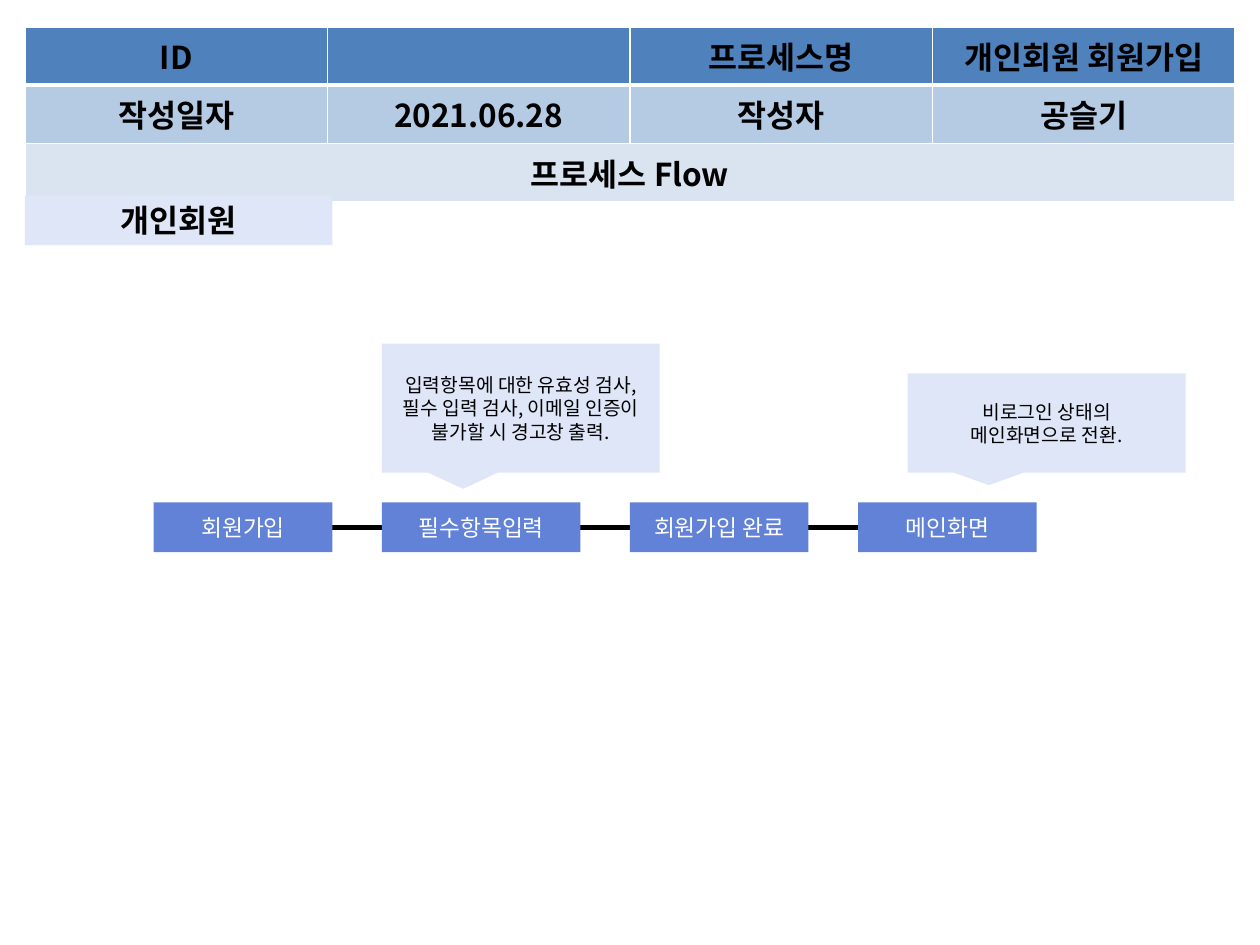
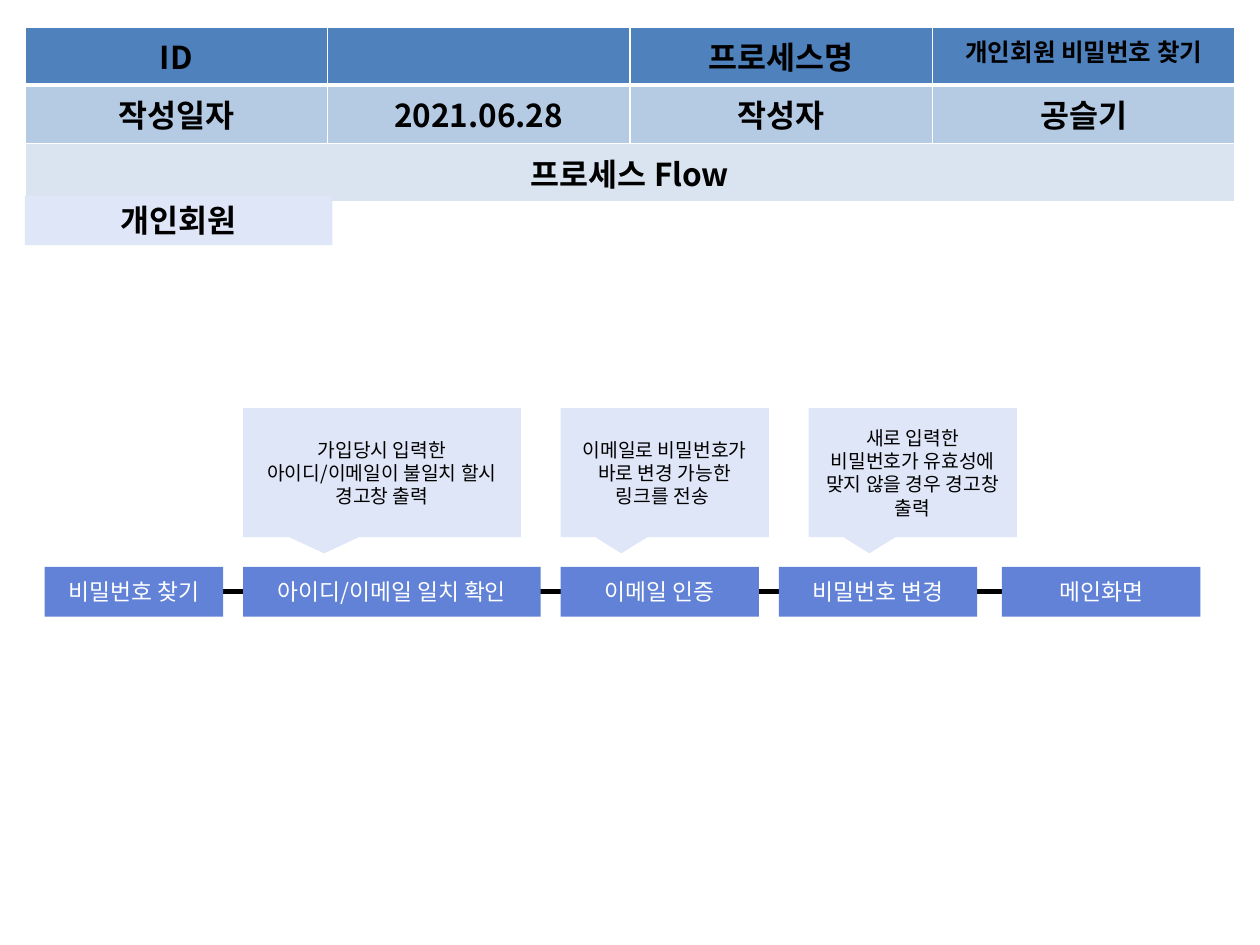
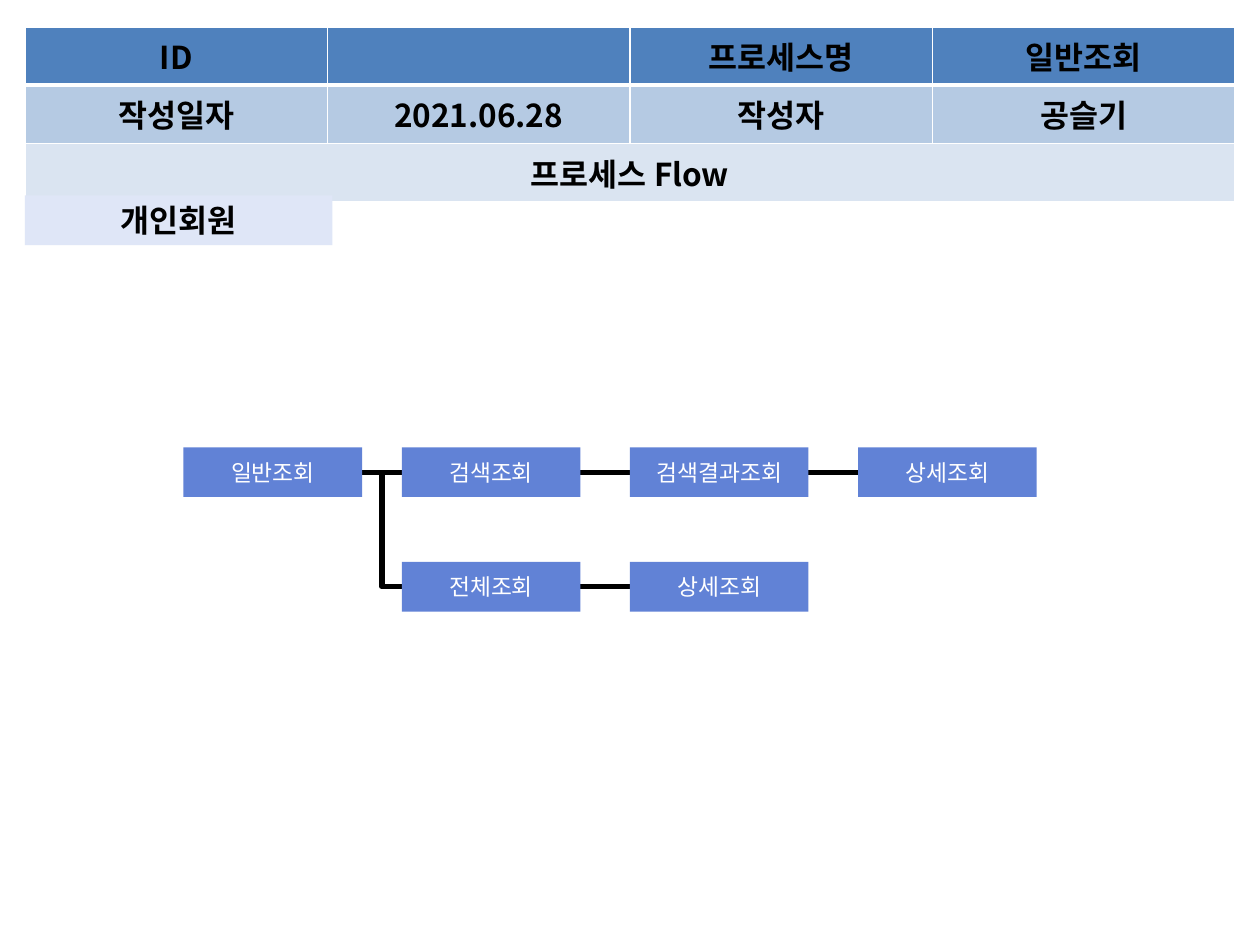
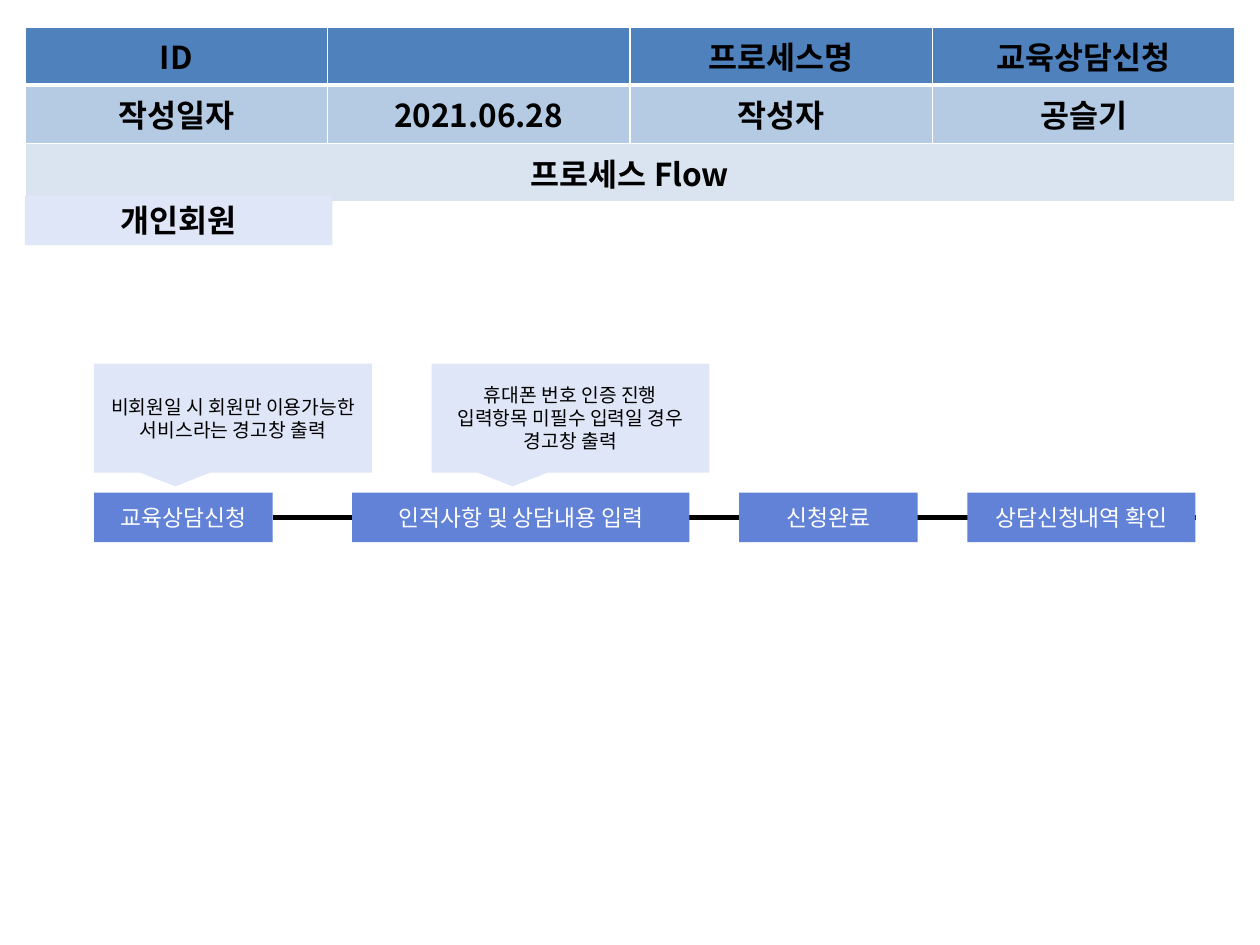
from lxml import etree
from pptx import Presentation
from pptx.dml.color import RGBColor
from pptx.enum.shapes import MSO_CONNECTOR, MSO_SHAPE
from pptx.enum.text import MSO_ANCHOR, MSO_AUTO_SIZE, PP_ALIGN
from pptx.oxml.ns import qn
from pptx.util import Cm, Pt

RECT = MSO_SHAPE.RECTANGLE
CALLOUT = MSO_SHAPE.RECTANGULAR_CALLOUT
STRAIGHT = MSO_CONNECTOR.STRAIGHT
ELBOW = MSO_CONNECTOR.ELBOW
CENTER = PP_ALIGN.CENTER
MIDDLE = MSO_ANCHOR.MIDDLE
NO_FIT = MSO_AUTO_SIZE.NONE

FONT = "Noto Sans CJK KR"
COLORS = {
    "black": "000000",
    "white": "FFFFFF",
    "head": "4F81BD",
    "meta": "B5CAE3",
    "flow": "DAE4F1",
    "pale": "DFE6F7",
    "step": "6182D6",
}
LEFT = 0.5
COL_WIDTHS = (2.6, 3.5, 6.1, 6.1, 6.1)
ROW_HEIGHT = 1.03
STEP_HEIGHT = 1.0
STEP_WIDTH = 3.6


def rgb(name):
    return RGBColor.from_string(COLORS[name])


def write(tf, text, size=18, color="black", bold=False):
    for i, line in enumerate(text.split("\n")):
        p = tf.paragraphs[0] if i == 0 else tf.add_paragraph()
        p.alignment = CENTER
        r = p.add_run()
        r.text = line
        r.font.name = FONT
        r.font.size = Pt(size)
        r.font.bold = bold
        r.font.color.rgb = rgb(color)
        ea = etree.SubElement(r.font._element, qn("a:ea"))
        ea.set("typeface", FONT)


def paint(sp, color):
    sp.fill.solid()
    sp.fill.fore_color.rgb = rgb(color)
    sp.line.fill.background()


def add_box(slide, kind, text, x, y, w, h, fill, **fmt):
    sp = slide.shapes.add_shape(kind, Cm(x), Cm(y), Cm(w), Cm(h))
    sp.shadow.inherit = False
    paint(sp, fill)
    tf = sp.text_frame
    tf.word_wrap = True
    tf.vertical_anchor = MIDDLE
    write(tf, text, **fmt)
    return sp


def add_step(slide, text, x, y, w=STEP_WIDTH):
    add_box(slide, RECT, text, x, y, w, STEP_HEIGHT, "step", size=13, color="white")


def add_callout(slide, text, x, bottom, w, h):
    sp = add_box(slide, CALLOUT, text, x, bottom - h, w, h, "pale", size=11)
    sp.adjustments[0] = -0.208
    sp.adjustments[1] = 0.625


def add_link(slide, x1, y1, x2, y2, kind=STRAIGHT):
    cxn = slide.shapes.add_connector(kind, Cm(x1), Cm(y1), Cm(x2), Cm(y2))
    cxn.line.color.rgb = rgb("black")
    cxn.line.width = Pt(3)
    etree.SubElement(cxn._element.spPr, qn("a:effectLst"))


def add_steps(slide, x, y, steps, gaps):
    for (text, w), gap in zip(steps, gaps + [0]):
        add_step(slide, text, x, y, w)
        x += w + gap


def set_borders(cell, **widths):
    tc_pr = cell._tc.get_or_add_tcPr()
    for side in "LRTB":
        ln = etree.SubElement(tc_pr, qn("a:ln" + side), w=str(Pt(widths.get(side, 1))))
        fill = etree.SubElement(ln, qn("a:solidFill"))
        etree.SubElement(fill, qn("a:srgbClr"), val=COLORS["white"])


def add_header(slide, name, name_size):
    rows = (
        ("head", ("ID", None, "", "프로세스명", name), {"B": 3}),
        ("meta", ("작성일자", None, "2021.06.28", "작성자", "공슬기"), {"T": 3}),
        ("flow", ("프로세스 Flow", None, None, None, None), {}),
    )
    frame = slide.shapes.add_table(
        len(rows), len(COL_WIDTHS), Cm(LEFT), Cm(0.54),
        Cm(sum(COL_WIDTHS)), Cm(ROW_HEIGHT * len(rows)))
    table = frame.table
    table.first_row = False
    table.horz_banding = False
    for col, w in zip(table.columns, COL_WIDTHS):
        col.width = Cm(w)
    for i, (fill, texts, borders) in enumerate(rows):
        table.rows[i].height = Cm(ROW_HEIGHT)
        for j, text in enumerate(texts):
            cell = table.cell(i, j)
            set_borders(cell, **borders)
            cell.fill.solid()
            cell.fill.fore_color.rgb = rgb(fill)
            if text:
                size = name_size if text == name else 18
                write(cell.text_frame, text, size=size, bold=True)
        table.cell(i, 0).merge(table.cell(i, texts.count(None)))


def add_member_title(slide):
    sp = slide.shapes.title
    sp.left, sp.top, sp.width, sp.height = Cm(LEFT), Cm(3.94), Cm(6.2), Cm(1)
    paint(sp, "pale")
    tf = sp.text_frame
    tf.auto_size = NO_FIT
    tf.vertical_anchor = MIDDLE
    write(tf, "개인회원", bold=True)
    sp.element.getparent().append(sp.element)


def new_slide(prs, name, links, name_size=18):
    slide = prs.slides.add_slide(prs.slide_layouts[5])
    for link in links:
        add_link(slide, *link)
    add_header(slide, name, name_size)
    add_member_title(slide)
    return slide


def sign_up(prs):
    y = 10.13
    mid = y + STEP_HEIGHT / 2
    slide = new_slide(prs, "개인회원 회원가입", [(3.1, mid, 20.8, mid)])
    steps = [("회원가입", 3.6), ("필수항목입력", 4), ("회원가입 완료", 3.6), ("메인화면", 3.6)]
    add_steps(slide, 3.1, y, steps, [1, 1, 1])
    add_callout(slide, "입력항목에 대한 유효성 검사, 필수 입력 검사, 이메일 인증이 불가할 시 경고창 출력.",
                7.7, y - 0.6, 5.6, 2.6)
    add_callout(slide, "비로그인 상태의\n메인화면으로 전환.", 18.3, y - 0.6, 5.6, 2)


def find_password(prs):
    y = 11.43
    mid = y + STEP_HEIGHT / 2
    slide = new_slide(prs, "개인회원 비밀번호 찾기", [(4.37, mid, 24.2, mid)], name_size=14)
    steps = [("비밀번호 찾기", 3.6), ("아이디/이메일 일치 확인", 6), ("이메일 인증", 4),
             ("비밀번호 변경", 4), ("메인화면", 4)]
    add_steps(slide, 0.9, y, steps, [0.4, 0.4, 0.4, 0.5])
    callouts = (
        ("가입당시 입력한 아이디/이메일이 불일치 할시 경고창 출력", 4.9, 5.6),
        ("이메일로 비밀번호가 바로 변경 가능한 링크를 전송 ", 11.3, 4.2),
        ("새로 입력한 비밀번호가 유효성에 맞지 않을 경우 경고창 출력", 16.3, 4.2),
    )
    for text, x, w in callouts:
        add_callout(slide, text, x, y - 0.6, w, 2.6)


def general_search(prs):
    top, low = 9.02, 11.33
    top_mid, low_mid = top + STEP_HEIGHT / 2, low + STEP_HEIGHT / 2
    links = [(7.3, top_mid, 8.1, low_mid, ELBOW), (7.14, top_mid, 17.3, top_mid),
             (11.7, low_mid, 12.7, low_mid)]
    slide = new_slide(prs, "일반조회", links)
    upper = [(text, STEP_WIDTH) for text in ("일반조회", "검색조회", "검색결과조회", "상세조회")]
    lower = [(text, STEP_WIDTH) for text in ("전체조회", "상세조회")]
    add_steps(slide, 3.7, top, upper, [0.8, 1, 1])
    add_steps(slide, 8.1, low, lower, [1])


def request_counsel(prs):
    y = 9.93
    mid = y + STEP_HEIGHT / 2
    slide = new_slide(prs, "교육상담신청", [(5.5, mid, 24.1, mid)])
    steps = [("교육상담신청", 3.6), ("인적사항 및 상담내용 입력", 6.8), ("신청완료", 3.6),
             ("상담신청내역 확인", 4.6)]
    add_steps(slide, 1.9, y, steps, [1.6, 1, 1])
    callouts = (
        ("비회원일 시 회원만 이용가능한 서비스라는 경고창 출력", 1.9),
        ("휴대폰 번호 인증 진행\n입력항목 미필수 입력일 경우\n경고창 출력", 8.7),
    )
    for text, x in callouts:
        add_callout(slide, text, x, y - 0.4, 5.6, 2.2)


def main():
    prs = Presentation()
    prs.slide_width, prs.slide_height = Cm(25.4), Cm(19.05)
    sign_up(prs)
    find_password(prs)
    general_search(prs)
    request_counsel(prs)
    prs.save("out.pptx")


main()
